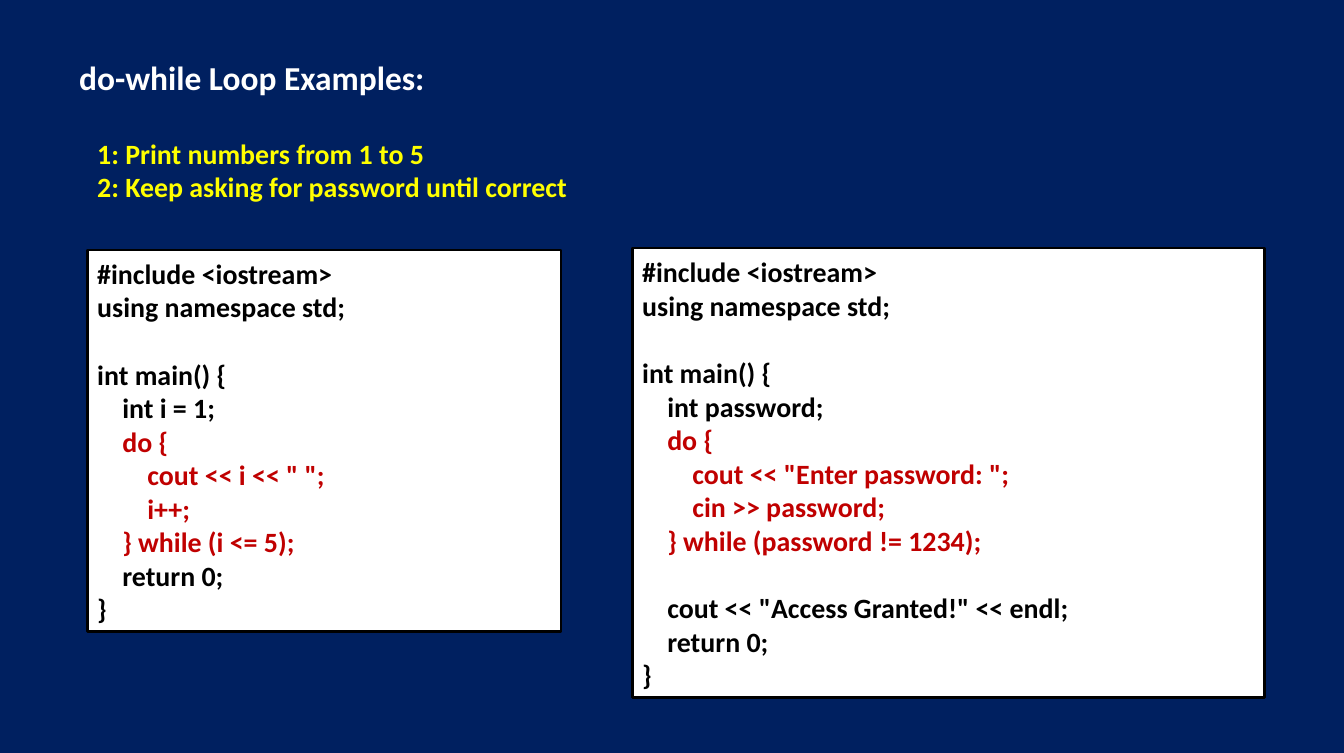
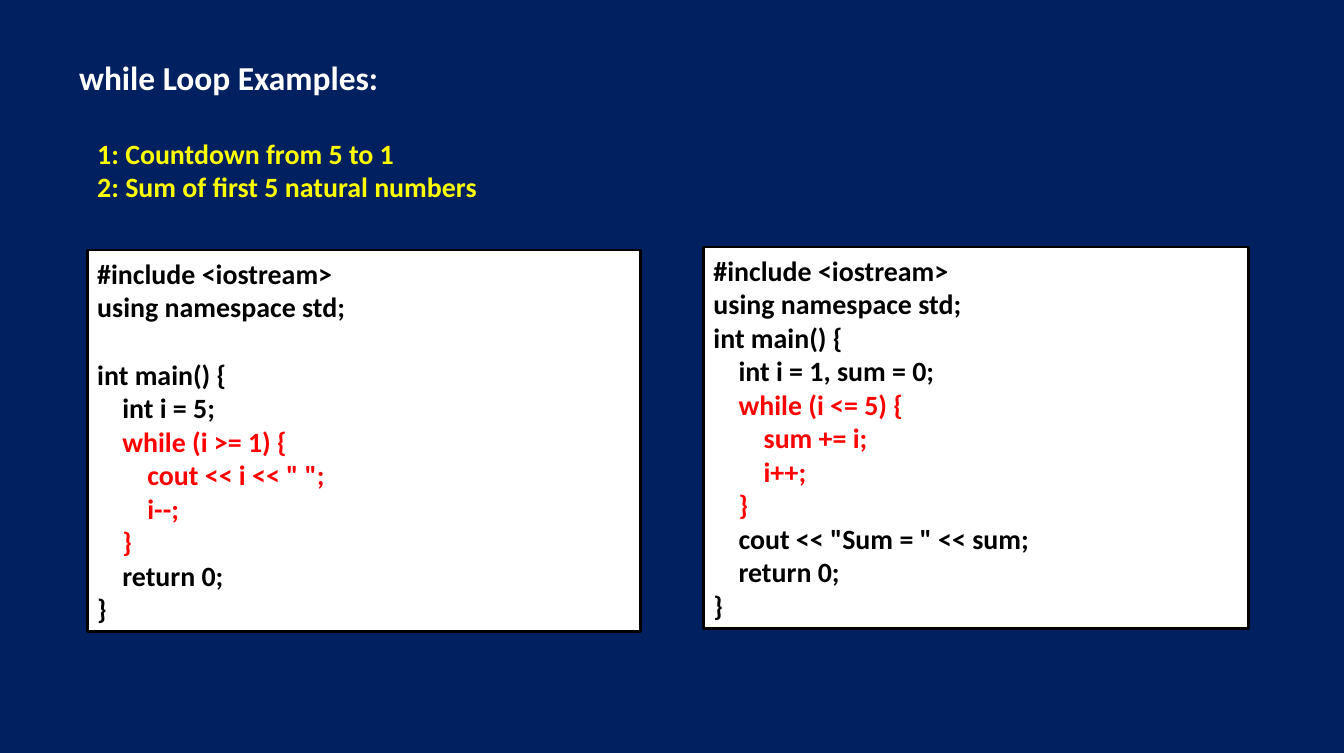
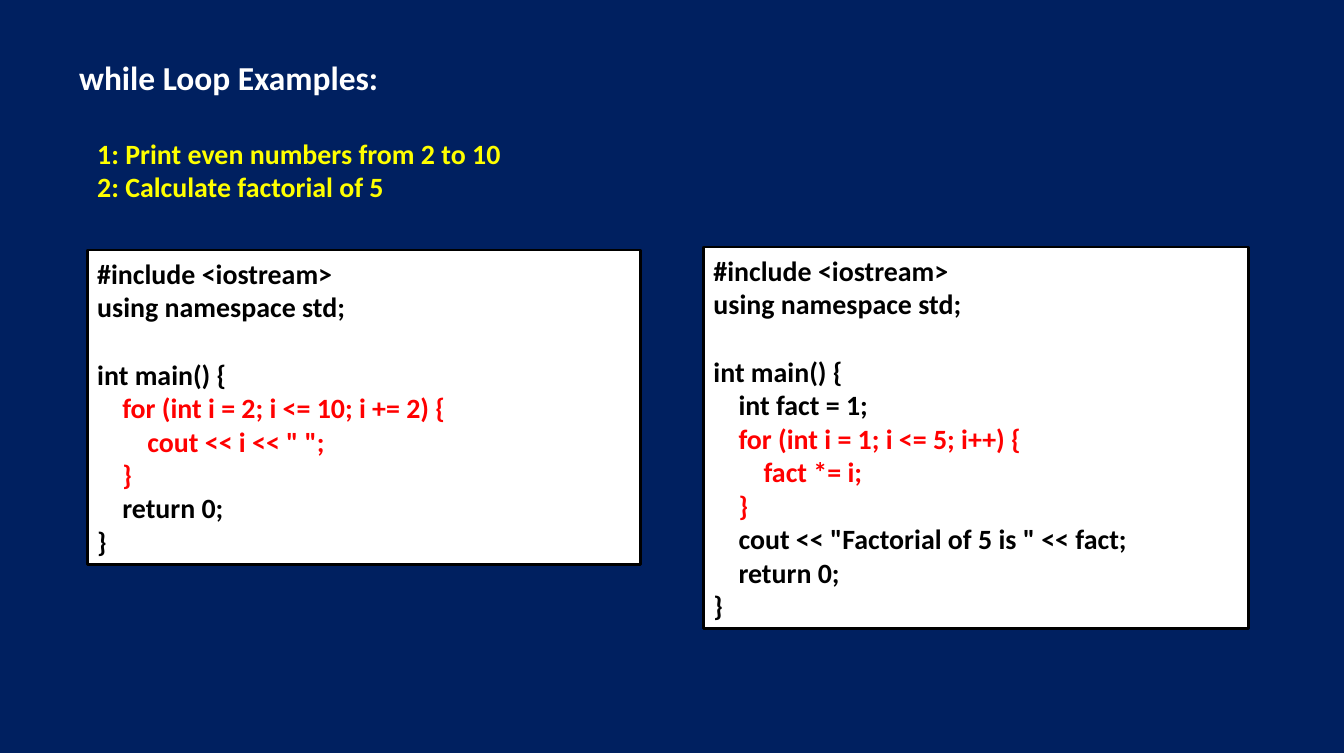
from pptx import Presentation
from pptx.dml.color import RGBColor
from pptx.enum.shapes import MSO_SHAPE
from pptx.enum.text import MSO_ANCHOR, MSO_AUTO_SIZE, PP_ALIGN
from pptx.util import Inches, Pt

# Shared look
NAVY = RGBColor(0x00, 0x20, 0x60)
WHITE = RGBColor(0xFF, 0xFF, 0xFF)
BLACK = RGBColor(0x00, 0x00, 0x00)
YELLOW = RGBColor(0xFF, 0xFF, 0x00)
DARK_RED = RGBColor(0xC0, 0x00, 0x00)
RED = RGBColor(0xFF, 0x00, 0x00)
FONT = "Calibri"
CODE_INDENT = 0.25
BLANK_LINE = 24.4
LEFT = 0.87
LOOP_KEYWORDS = ("do ", "while ", "for ")

# Code listings
PRINT_NUMBERS = """#include <iostream>
using namespace std;

int main() {
    int i = 1;
    do {
        cout << i << " ";
        i++;
    } while (i <= 5);
    return 0;
}"""

ASK_PASSWORD = """#include <iostream>
using namespace std;

int main() {
    int password;
    do {
        cout << "Enter password: ";
        cin >> password;
    } while (password != 1234);

    cout << "Access Granted!" << endl;
    return 0;
}"""

COUNTDOWN = """#include <iostream>
using namespace std;

int main() {
    int i = 5;
    while (i >= 1) {
        cout << i << " ";
        i--;
    }
    return 0;
}"""

SUM_NUMBERS = """#include <iostream>
using namespace std;
int main() {
    int i = 1, sum = 0;
    while (i <= 5) {
        sum += i;
        i++;
    }
    cout << "Sum = " << sum;
    return 0;
}"""

EVEN_NUMBERS = """#include <iostream>
using namespace std;

int main() {
    for (int i = 2; i <= 10; i += 2) {
        cout << i << " ";
    }
    return 0;
}"""

FACTORIAL = """#include <iostream>
using namespace std;

int main() {
    int fact = 1;
    for (int i = 1; i <= 5; i++) {
        fact *= i;
    }
    cout << "Factorial of 5 is " << fact;
    return 0;
}"""

# Each panel: code, left, top, width, height
EXAMPLES = [
    ("do-while Loop Examples:",
     ["1: Print numbers from 1 to 5", "2: Keep asking for password until correct"],
     DARK_RED,
     [(PRINT_NUMBERS, LEFT, 2.49, 4.72, 3.8),
      (ASK_PASSWORD, 6.3, 2.47, 6.3, 4.48)]),
    ("while Loop Examples:",
     ["1: Countdown from 5 to 1", "2: Sum of first 5 natural numbers"],
     RED,
     [(COUNTDOWN, LEFT, 2.49, 5.51, 3.8),
      (SUM_NUMBERS, 7.01, 2.46, 5.43, 3.8)]),
    ("while Loop Examples:",
     ["1: Print even numbers from 2 to 10", "2: Calculate factorial of 5"],
     RED,
     [(EVEN_NUMBERS, LEFT, 2.49, 5.51, 3.13),
      (FACTORIAL, 7.01, 2.46, 5.43, 3.8)]),
]


def write_line(frame, text, size=20, color=BLACK, indent=0, before=0):
    """Fill the first paragraph if it is still empty, else append one."""
    first = frame.paragraphs[0]
    line = frame.add_paragraph() if first.runs else first
    line.alignment = PP_ALIGN.LEFT
    line.space_before = Pt(before)
    if indent:
        line._p.get_or_add_pPr().set("marL", str(Inches(indent)))
    run = line.add_run()
    run.text = text
    run.font.name = FONT
    run.font.size = Pt(size)
    run.font.bold = True
    run.font.color.rgb = color


def fit_frame(shape):
    frame = shape.text_frame
    frame.word_wrap = True
    frame.auto_size = MSO_AUTO_SIZE.SHAPE_TO_FIT_TEXT
    return frame


def add_text(slide, lines, left, top, width, height, **style):
    box = slide.shapes.add_textbox(
        Inches(left), Inches(top), Inches(width), Inches(height))
    frame = fit_frame(box)
    for text in lines:
        write_line(frame, text, **style)


def add_code_panel(slide, code, left, top, width, height, loop_color):
    panel = slide.shapes.add_shape(
        MSO_SHAPE.RECTANGLE,
        Inches(left), Inches(top), Inches(width), Inches(height))
    panel.shadow.inherit = False
    panel.fill.solid()
    panel.fill.fore_color.rgb = WHITE
    panel.line.color.rgb = BLACK
    panel.line.width = Pt(2)
    frame = fit_frame(panel)
    frame.vertical_anchor = MSO_ANCHOR.MIDDLE

    in_loop = False
    before = 0
    for source_line in code.splitlines():
        text = source_line.strip()
        if not text:
            before = BLANK_LINE
            continue
        level = (len(source_line) - len(text)) // 4
        in_loop = in_loop or text.startswith(LOOP_KEYWORDS)
        write_line(frame, text, color=loop_color if in_loop else BLACK,
                   indent=level * CODE_INDENT, before=before)
        before = 0
        # A closing brace ends the highlighted loop
        if text.startswith("}"):
            in_loop = False


def main():
    prs = Presentation()
    prs.slide_width = Inches(13.39)
    prs.slide_height = Inches(7.5)

    # Background shared by all slides
    background = prs.slide_master.background.fill
    background.solid()
    background.fore_color.rgb = NAVY

    for title, tasks, loop_color, panels in EXAMPLES:
        slide = prs.slides.add_slide(prs.slide_layouts[6])
        add_text(slide, [title], 0.69, 0.52, 12.13, 0.5, size=24, color=WHITE)
        add_text(slide, tasks, LEFT, 1.31, 5.2, 0.77, color=YELLOW)
        for code, *place in panels:
            add_code_panel(slide, code, *place, loop_color)

    prs.save("out.pptx")


if __name__ == "__main__":
    main()
